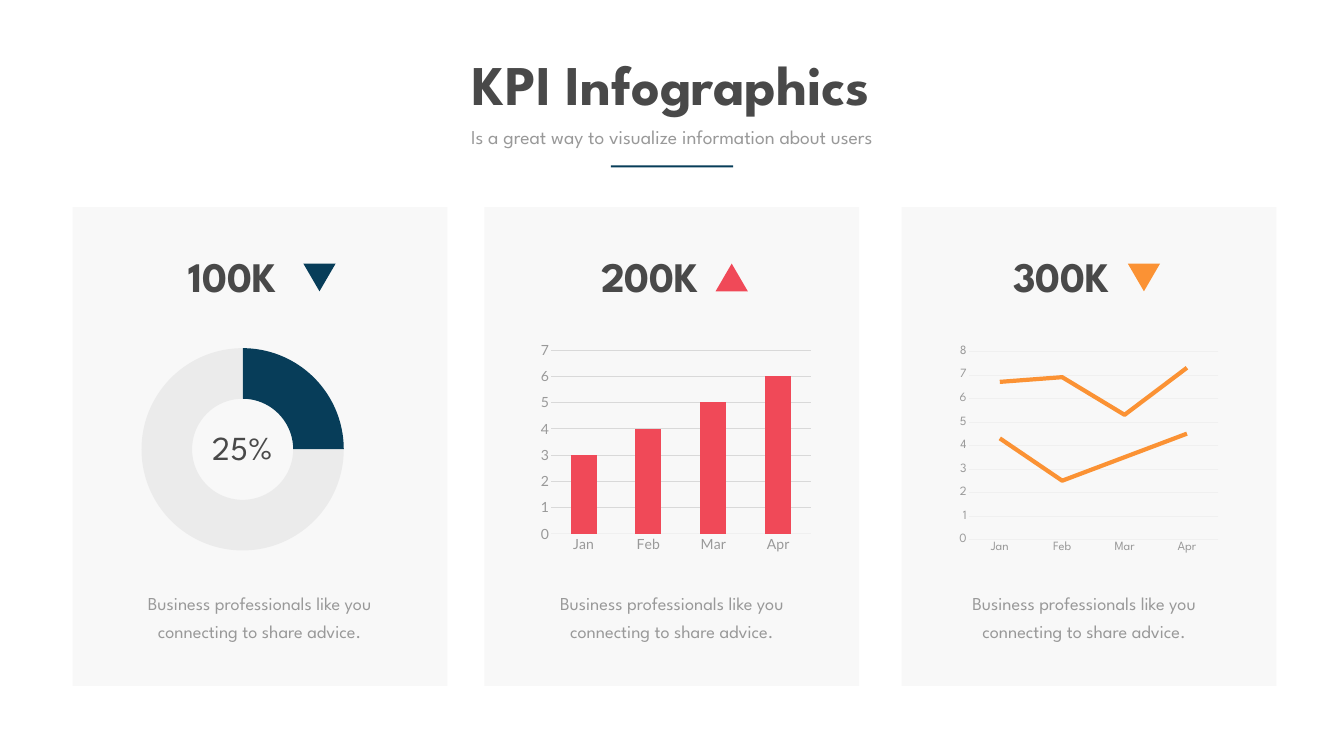
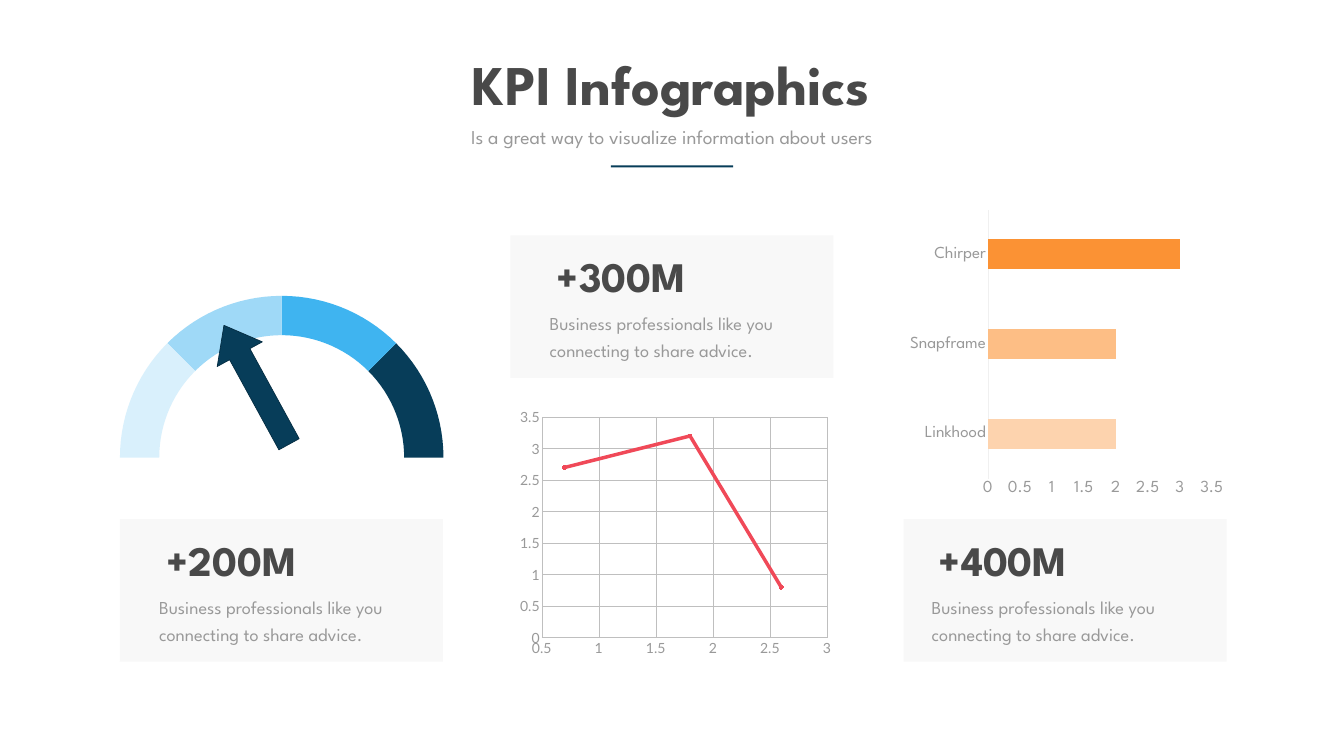
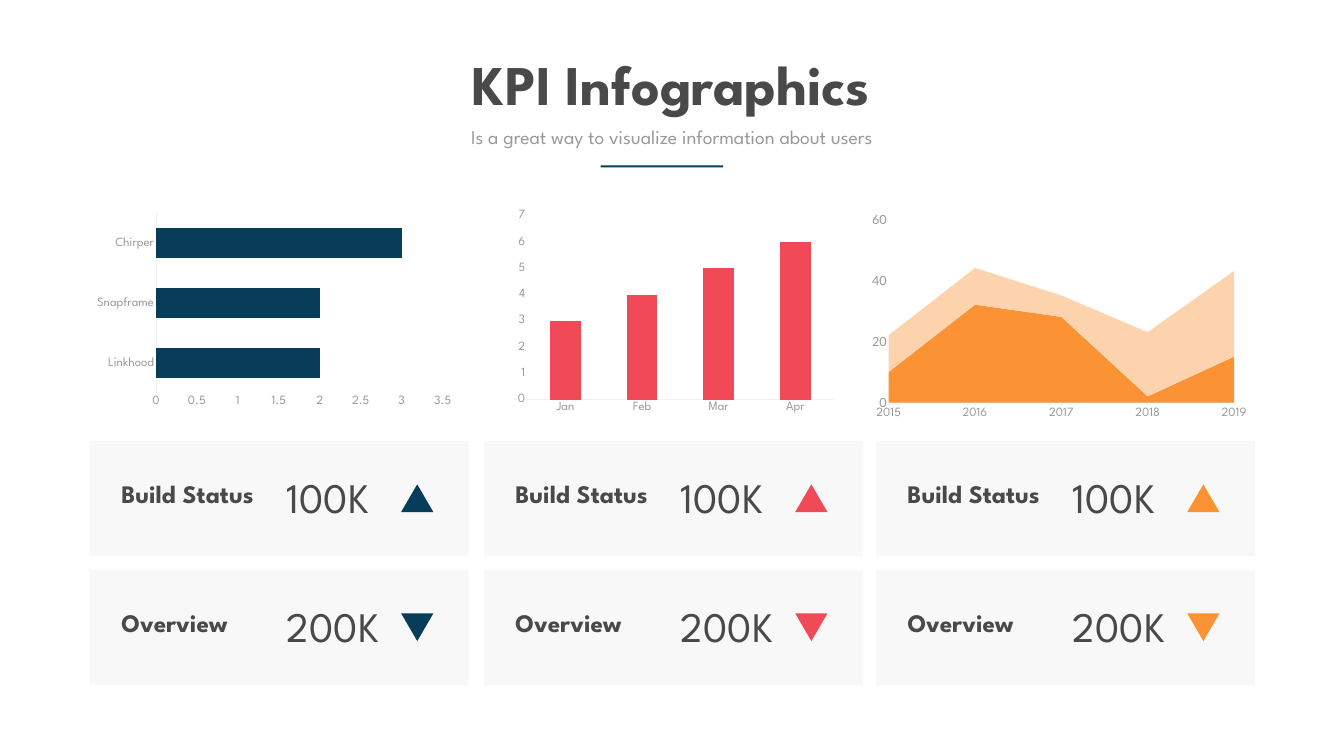
from dataclasses import dataclass
from math import cos, radians, sin
from typing import Optional

from lxml import etree
from pptx import Presentation
from pptx import util as u
from pptx.chart import data as cd
from pptx.dml.color import RGBColor
from pptx.enum import chart as ec, shapes as es, text as et
from pptx.oxml.ns import qn

EMU_PER_PX = 9144
COLORS = {
    "navy": "073D59", "navy_edge": "052D42", "red": "F04958", "orange": "FB9234",
    "apricot": "FDBE85", "peach": "FDD3AE", "sky": "3FB4F0", "light_sky": "9FD9F7",
    "pale_sky": "D9F0FC", "ink": "494949", "gray": "999999", "card": "F2F2F2",
    "ring": "EBEBEB", "hairline": "F0F0F0", "grid": "D9D9D9", "lattice": "BFBFBF",
}
SPARTAN, LATO = "League Spartan", "Lato"
ADVICE = "Business professionals like you connecting to share advice."
MONTHS = ("Jan", "Feb", "Mar", "Apr")
NETWORKS = ("Linkhood", "Snapframe", "Chirper")
ACCENTS = ("navy", "red", "orange")
Kind = ec.XL_CHART_TYPE


@dataclass(frozen=True)
class Box:
    left: int
    top: int
    width: int
    height: int

    def emu(self) -> list:
        return [px(side) for side in (self.left, self.top, self.width, self.height)]


@dataclass(frozen=True)
class Type:
    size: int
    color: str = "ink"
    bold: bool = False
    align: et.PP_ALIGN = et.PP_ALIGN.LEFT
    leading: Optional[float] = None
    wrap: bool = True


@dataclass(frozen=True)
class Series:
    values: tuple
    color: str
    point_colors: tuple = ()


@dataclass(frozen=True)
class Plot:
    kind: Kind
    box: Box
    categories: tuple
    series: tuple
    size: int = 18
    font: str = SPARTAN
    value_font: str = SPARTAN
    grid: Optional[str] = None
    gap: Optional[int] = None
    inner: tuple = ()


@dataclass(frozen=True)
class Kpi:
    left: int
    content: int
    value: str
    rising: bool
    accent: str


@dataclass(frozen=True)
class Summary:
    left: int
    top: int
    indent: int
    value: str


CENTER = et.PP_ALIGN.CENTER
TITLE = Type(80, bold=True, align=CENTER, wrap=False)
SUBTITLE = Type(28, "gray", align=CENTER)
CENTERED_ADVICE = Type(26, "gray", align=CENTER, leading=38.6)
LEFT_ADVICE = Type(26, "gray", leading=38.6)
FIGURE = Type(60, bold=True)
PLAIN_FIGURE = Type(60)
LABEL = Type(36, bold=True)
PERCENT = Type(48, align=CENTER)
COLUMN_INNER = (0.08, 0.04, 0.9, 0.85)


def px(length: float) -> u.Emu:
    return u.Emu(round(length * EMU_PER_PX))


def rgb(name: str) -> RGBColor:
    return RGBColor.from_string(COLORS[name])


def write(holder, words: str, style: Type) -> None:
    frame = holder.text_frame
    frame.word_wrap = style.wrap
    frame.auto_size = et.MSO_AUTO_SIZE.SHAPE_TO_FIT_TEXT
    frame.vertical_anchor = et.MSO_ANCHOR.TOP
    paragraph = frame.paragraphs[0]
    paragraph.alignment = style.align
    paragraph.space_before = u.Pt(0)
    if style.leading:
        paragraph.line_spacing = u.Pt(style.leading)
    run = paragraph.add_run()
    run.text = words
    run.font.name = SPARTAN
    run.font.size = u.Pt(style.size)
    run.font.bold = style.bold
    run.font.color.rgb = rgb(style.color)


def add_text(shapes, box: Box, words: str, style: Type) -> None:
    write(shapes.add_textbox(*box.emu()), words, style)


def paint(shape, color: str, opacity: int = 100) -> None:
    shape.shadow.inherit = False
    shape.fill.solid()
    shape.fill.fore_color.rgb = rgb(color)
    shape.line.fill.background()
    if opacity < 100:
        shade = next(shape.element.iter(qn("a:srgbClr")))
        etree.SubElement(shade, qn("a:alpha")).set("val", str(opacity * 1000))


def add_preset(shapes, preset: es.MSO_SHAPE, box: Box, color: str, opacity: int = 100):
    shape = shapes.add_shape(preset, *box.emu())
    paint(shape, color, opacity)
    return shape


def add_card(slide, box: Box) -> None:
    add_preset(slide.shapes, es.MSO_SHAPE.RECTANGLE, box, "card", 50)


def add_figure(slide, box: Box, words: str, style: Type, rising: bool, accent: str) -> None:
    group = slide.shapes.add_group_shape().shapes
    add_text(group, box, words, style)
    trend = add_preset(group, es.MSO_SHAPE.ISOSCELES_TRIANGLE,
                       Box(box.left + 237, box.top + 31, 64, 55), accent)
    trend.rotation = 0 if rising else 180


def new_slide(deck, rule_left: int):
    slide = deck.slides.add_slide(deck.slide_layouts[0])
    headings = (("KPI Infographics", Box(887, 94, 891, 145), TITLE),
                ("Is a great way to visualize information about users",
                 Box(855, 242, 956, 57), SUBTITLE))
    for holder, (words, box, style) in zip(slide.placeholders, headings):
        holder.left, holder.top, holder.width, holder.height = box.emu()
        write(holder, words, style)
    add_preset(slide.shapes, es.MSO_SHAPE.RECTANGLE, Box(rule_left, 328, 243, 4), "navy")
    return slide


def set_font(font, name: str, size: int) -> None:
    font.name = name
    font.size = u.Pt(size)
    font.color.rgb = rgb("gray")


def set_line(line, color: Optional[str], width: float = 0.75) -> None:
    if color:
        line.color.rgb = rgb(color)
        line.width = u.Pt(width)
    else:
        line.fill.background()


def style_axis(axis, font: str, size: int, line: Optional[str], grid: Optional[str]) -> None:
    axis.major_tick_mark = axis.minor_tick_mark = ec.XL_TICK_MARK.NONE
    set_font(axis.tick_labels.font, font, size)
    set_line(axis.format.line, line)
    axis.has_major_gridlines = grid is not None
    if grid:
        set_line(axis.major_gridlines.format.line, grid)


def set_crossing(axis, crossing: str) -> None:
    element = axis._element
    for old in element.findall(qn("c:crossBetween")):
        element.remove(old)
    node = etree.Element(qn("c:crossBetween"), val=crossing)
    element.find(qn("c:crosses")).addnext(node)


def set_inner_area(chart, shares: tuple) -> None:
    area = next(chart._chartSpace.iter(qn("c:plotArea")))
    for old in area.findall(qn("c:layout")):
        area.remove(old)
    layout = etree.Element(qn("c:layout"))
    manual = etree.SubElement(layout, qn("c:manualLayout"))
    settings = [("layoutTarget", "inner"), ("xMode", "edge"), ("yMode", "edge")]
    for tag, value in settings + list(zip("xywh", shares)):
        etree.SubElement(manual, qn("c:" + tag)).set("val", str(value))
    area.insert(0, layout)


def place_chart(slide, kind: Kind, box: Box, figures, font: str, size: int):
    chart = slide.shapes.add_chart(kind, *box.emu(), figures).chart
    chart.has_legend = chart.has_title = False
    set_font(chart.font, font, size)
    return chart


def add_plot(slide, plot: Plot):
    figures = cd.CategoryChartData()
    figures.categories = plot.categories
    for number, series in enumerate(plot.series, 1):
        figures.add_series(f"Series {number}", series.values)
    chart = place_chart(slide, plot.kind, plot.box, figures, plot.font, plot.size)
    drawn = chart.plots[0]
    drawn.vary_by_categories = plot.kind == Kind.DOUGHNUT
    for series, source in zip(drawn.series, plot.series):
        if plot.kind == Kind.LINE_STACKED:
            series.smooth = False
            set_line(series.format.line, source.color, 6)
        else:
            series.format.fill.solid()
            series.format.fill.fore_color.rgb = rgb(source.color)
        for index, color in enumerate(source.point_colors):
            fill = series.points[index].format.fill
            fill.solid()
            fill.fore_color.rgb = rgb(color)
    if plot.kind != Kind.DOUGHNUT:
        style_axis(chart.category_axis, plot.font, plot.size, "hairline", None)
        style_axis(chart.value_axis, plot.value_font, plot.size, None, plot.grid)
        is_area = plot.kind == Kind.AREA_STACKED
        set_crossing(chart.value_axis, "midCat" if is_area else "between")
    if plot.gap:
        drawn.gap_width = plot.gap
        drawn.overlap = 100
    if plot.inner:
        set_inner_area(chart, plot.inner)
    return chart


def add_curve(slide, box: Box, points: tuple) -> None:
    figures = cd.XyChartData()
    curve = figures.add_series("Series 1")
    for x, y in points:
        curve.add_data_point(x, y)
    chart = place_chart(slide, Kind.XY_SCATTER_SMOOTH, box, figures, LATO, 20)
    for axis in (chart.category_axis, chart.value_axis):
        style_axis(axis, LATO, 20, "lattice", "lattice")
    drawn = chart.plots[0].series[0]
    set_line(drawn.format.line, "red", 5)
    drawn.marker.style = ec.XL_MARKER_STYLE.CIRCLE
    drawn.marker.size = 5
    drawn.marker.format.fill.solid()
    drawn.marker.format.fill.fore_color.rgb = rgb("red")
    set_line(drawn.marker.format.line, "red")


def add_gauge(slide) -> None:
    group = slide.shapes.add_group_shape().shapes
    center_x, center_y, outer, inner = 559, 908, 321, 243

    def arc(radius: int, angles) -> list:
        return [(px(center_x + radius * cos(radians(angle))),
                 px(center_y - radius * sin(radians(angle)))) for angle in angles]

    for index, color in enumerate(("navy", "sky", "light_sky", "pale_sky")):
        angles = range(45 * index, 45 * index + 46, 3)
        outline = arc(outer, angles) + arc(inner, reversed(angles))
        builder = group.build_freeform(*outline[0])
        builder.add_line_segments(outline[1:], close=True)
        paint(builder.convert_to_shape(), color)
    needle = add_preset(group, es.MSO_SHAPE.UP_ARROW, Box(458, 629, 102, 269), "navy")
    needle.adjustments[0], needle.adjustments[1] = 0.45, 0.64
    needle.rotation = 331.3
    set_line(needle.line, "navy_edge", 1)


def build_kpi_cards(deck) -> None:
    slide = new_slide(deck, 1212)
    kpis = (Kpi(144, 241, "100K", False, "navy"), Kpi(961, 1059, "200K", True, "red"),
            Kpi(1789, 1877, "300K", False, "orange"))
    for kpi in kpis:
        add_card(slide, Box(kpi.left, 411, 744, 950))
    add_plot(slide, Plot(
        Kind.LINE_STACKED, Box(1893, 677, 535, 429), MONTHS,
        (Series((4.3, 2.5, 3.5, 4.5), "orange"), Series((2.4, 4.4, 1.8, 2.8), "orange")),
        grid="hairline"))
    add_plot(slide, Plot(
        Kind.DOUGHNUT, Box(253, 677, 457, 429), ("1", "2"),
        (Series((25, 75), "navy", ("navy", "ring")),), size=10, font="Calibri"))
    add_text(slide.shapes, Box(354, 842, 254, 91), "25%", PERCENT)
    add_plot(slide, Plot(
        Kind.COLUMN_STACKED, Box(1048, 677, 572, 429), MONTHS,
        (Series((3, 4, 5, 6), "red"),), size=20, font=LATO, value_font=LATO,
        grid="grid", gap=150, inner=COLUMN_INNER))
    for kpi in kpis:
        add_text(slide.shapes, Box(kpi.content, 1161, 549, 114), ADVICE, CENTERED_ADVICE)
        add_figure(slide, Box(kpi.content + 124, 492, 300, 111), kpi.value, FIGURE,
                   kpi.rising, kpi.accent)


def build_gauge_and_curve(deck) -> None:
    slide = new_slide(deck, 1212)
    for card in (Summary(238, 1030, 82, "+200M"), Summary(1013, 467, 82, "+300M"),
                 Summary(1793, 1030, 60, "+400M")):
        add_card(slide, Box(card.left, card.top, 641, 283))
        text_left = card.left + card.indent
        add_text(slide.shapes, Box(text_left, card.top + 26, 383, 111), card.value, FIGURE)
        add_text(slide.shapes, Box(text_left - 14, card.top + 137, 530, 114),
                 ADVICE, LEFT_ADVICE)
    add_gauge(slide)
    add_curve(slide, Box(1019, 800, 643, 514), ((0.7, 2.7), (1.8, 3.2), (2.6, 0.8)))
    add_plot(slide, Plot(
        Kind.BAR_STACKED, Box(1793, 404, 647, 592), NETWORKS,
        (Series((2, 2, 3), "orange", ("peach", "apricot", "orange")),), size=24, gap=199))


def build_status_board(deck) -> None:
    slide = new_slide(deck, 1192)
    rows = ((875, "Build Status", 320, "100K", True), (1131, "Overview", 258, "200K", False))
    for left, accent in zip((178, 960, 1738), ACCENTS):
        for top, label, label_width, value, rising in rows:
            add_card(slide, Box(left, top, 752, 229))
            add_text(slide.shapes, Box(left + 53, top + 70, label_width, 71), label, LABEL)
            add_figure(slide, Box(left + 381, top + 55, 327, 111), value, PLAIN_FIGURE,
                       rising, accent)
    add_plot(slide, Plot(Kind.BAR_STACKED, Box(178, 415, 732, 400), NETWORKS,
                         (Series((2, 2, 3), "navy"),), gap=102))
    add_plot(slide, Plot(Kind.COLUMN_STACKED, Box(992, 411, 676, 429), MONTHS,
                         (Series((3, 4, 5, 6), "red"),), gap=150, inner=COLUMN_INNER))
    yearly = add_plot(slide, Plot(
        Kind.AREA_STACKED, Box(1715, 411, 774, 429),
        ("2015", "2016", "2017", "2018", "2019"),
        (Series((10, 32, 28, 2, 15), "orange"), Series((12, 12, 7, 21, 28), "peach")),
        value_font=LATO))
    yearly.category_axis.major_tick_mark = ec.XL_TICK_MARK.OUTSIDE
    yearly.value_axis.major_unit = 20


def main() -> None:
    deck = Presentation()
    deck.slide_width, deck.slide_height = px(2667), px(1500)
    build_kpi_cards(deck)
    build_gauge_and_curve(deck)
    build_status_board(deck)
    deck.save("out.pptx")


if __name__ == "__main__":
    main()
